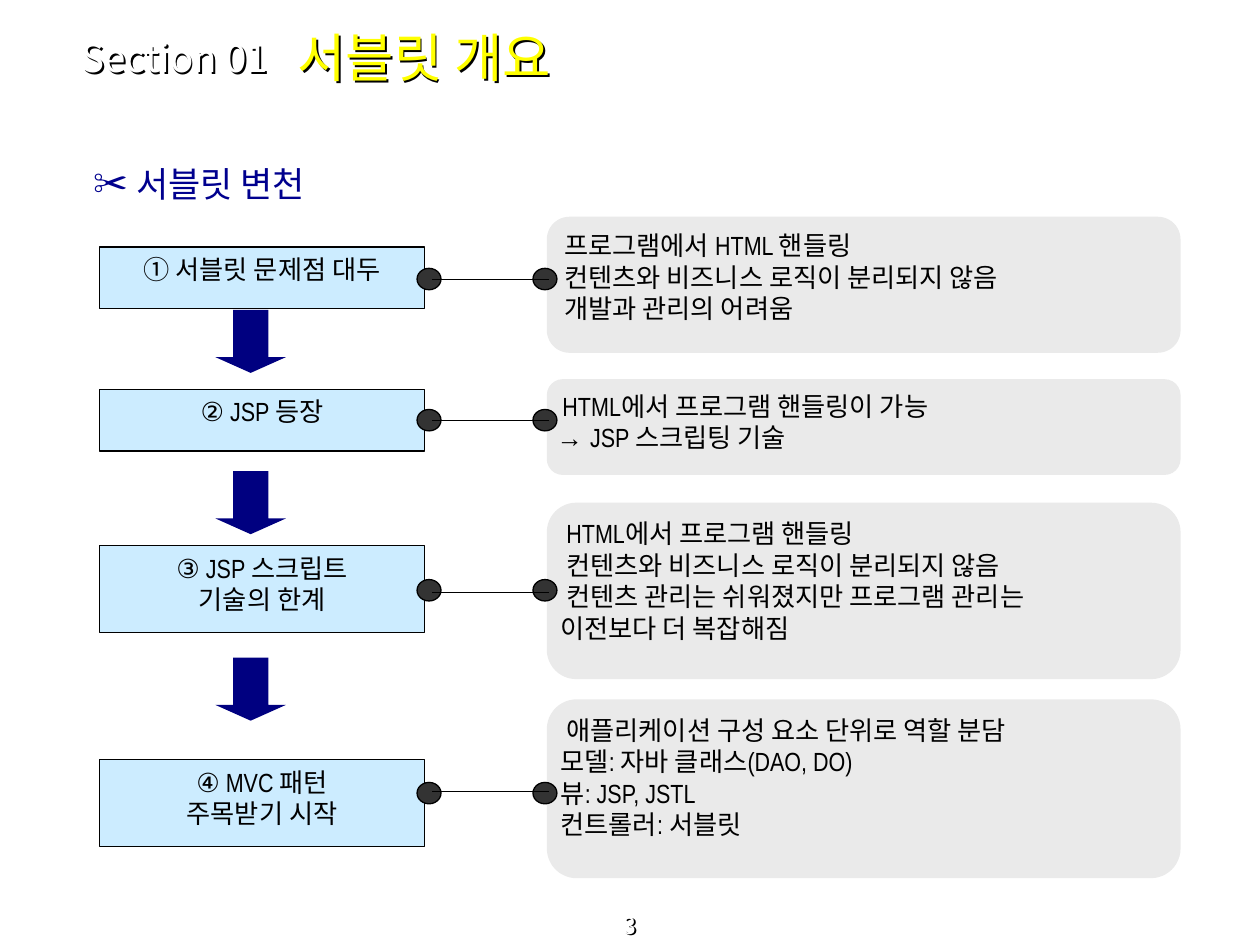
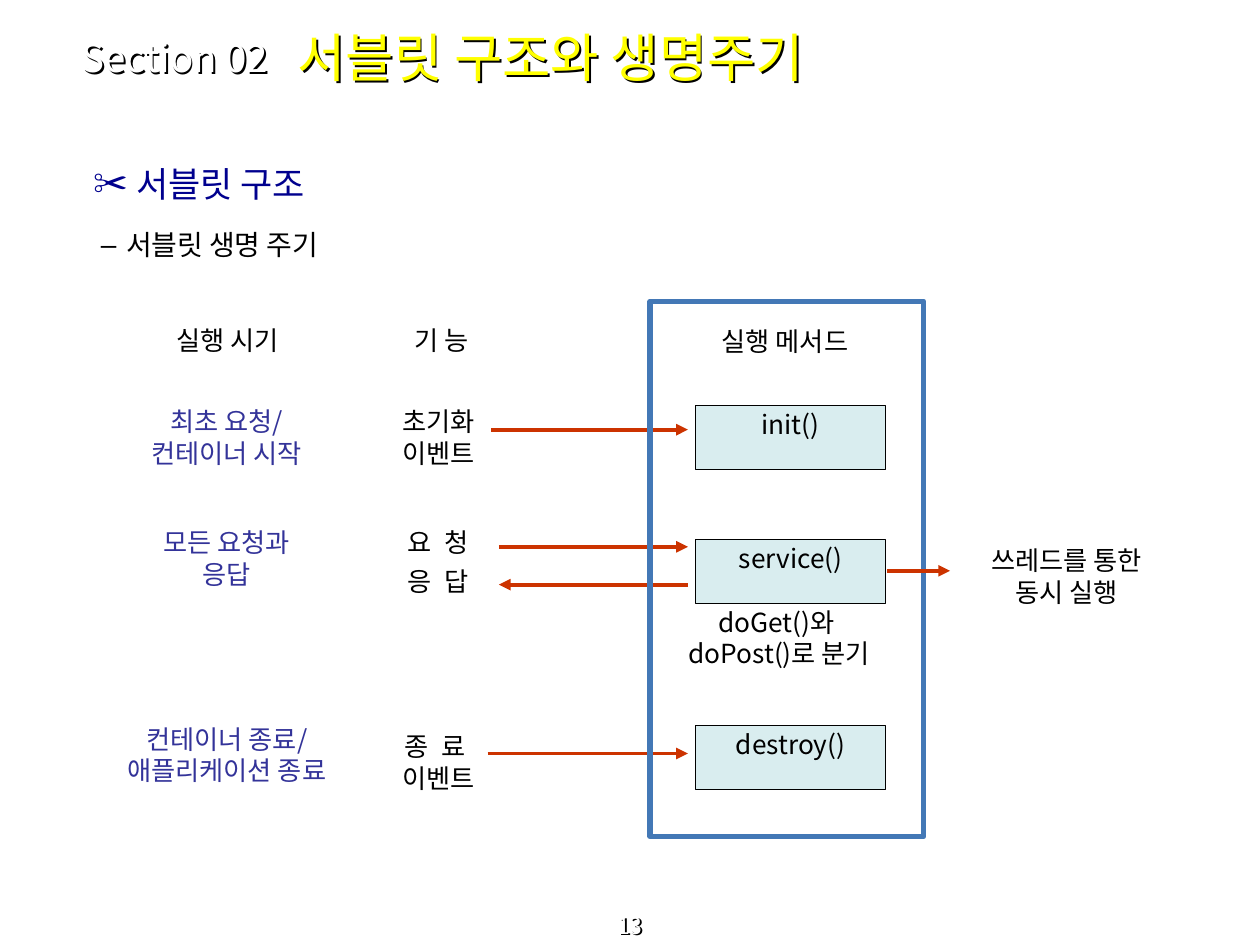
from lxml import etree
from pptx import Presentation
from pptx import util as u
from pptx.dml.color import RGBColor
from pptx.enum import shapes, text
from pptx.oxml import ns

NAVY = RGBColor(0x00, 0x00, 0x8E)
ARROW_NAVY = RGBColor(0x00, 0x00, 0x80)
YELLOW = RGBColor(0xFF, 0xFF, 0x00)
WHITE = RGBColor(0xFF, 0xFF, 0xFF)
BLACK = RGBColor(0x00, 0x00, 0x00)
SKY = RGBColor(0xCC, 0xEC, 0xFF)
PALE_GREY = RGBColor(0xEA, 0xEA, 0xEA)
DARK_GREY = RGBColor(0x33, 0x33, 0x33)
INDIGO = RGBColor(0x33, 0x33, 0x99)
RED = RGBColor(0xCC, 0x33, 0x00)
FRAME_BLUE = RGBColor(0x43, 0x78, 0xB6)
PALE_TEAL = RGBColor(0xD9, 0xED, 0xEF)

SANS = "Noto Sans CJK KR"
NARROW = "Arial Narrow"
LEFT, CENTER, JUSTIFY = (
    text.PP_ALIGN.LEFT, text.PP_ALIGN.CENTER, text.PP_ALIGN.JUSTIFY)
TOP, MIDDLE, BOTTOM = (
    text.MSO_ANCHOR.TOP, text.MSO_ANCHOR.MIDDLE, text.MSO_ANCHOR.BOTTOM)
SHAPE = shapes.MSO_SHAPE
LINE_FACTOR = 1.2
WIDE_GAP = (" ", SANS, 4)


def inches(*lengths):
    return [u.Inches(length) for length in lengths]


def child(parent, tag, **attributes):
    return etree.SubElement(parent, ns.qn(tag), attributes)


def add_run(paragraph, words, size, color, font=SANS, spacing=0):
    run = paragraph.add_run()
    run.text = words
    run.font.size = u.Pt(size)
    run.font.bold = False
    run.font.color.rgb = color
    properties = run.font._element
    if spacing:
        properties.set("spc", str(spacing * 100))
    child(properties, "a:latin", typeface=font)
    child(properties, "a:ea", typeface=SANS)


def set_frame(frame, insets, anchor):
    frame.word_wrap = True
    frame.auto_size = text.MSO_AUTO_SIZE.NONE
    frame.vertical_anchor = anchor
    (frame.margin_left, frame.margin_top,
     frame.margin_right, frame.margin_bottom) = inches(*insets)


def write(frame, lines, size=15, color=BLACK, font=SANS, align=CENTER,
          insets=(0, 0.01, 0, 0), anchor=TOP):
    set_frame(frame, insets, anchor)
    for index, line in enumerate(lines):
        paragraph = frame.paragraphs[0] if index == 0 else frame.add_paragraph()
        paragraph.alignment = align
        paragraph.line_spacing = u.Pt(size * LINE_FACTOR)
        pieces = [(line, font)] if isinstance(line, str) else line
        for words, *style in pieces:
            add_run(paragraph, words, size, color, *style)


def add_label(slide, box, lines, **style):
    label = slide.shapes.add_textbox(*inches(*box))
    write(label.text_frame, lines, **style)
    return label


def cast_text_shadow(label):
    label.fill.background()
    effects = child(label._element.spPr, "a:effectLst")
    shadow = child(effects, "a:outerShdw", dist="17961", dir="2700000",
                   algn="ctr", rotWithShape="0")
    child(shadow, "a:srgbClr", val=str(BLACK))


def add_block(slide, kind, box, fill=None, line=None, width=0.75):
    block = slide.shapes.add_shape(kind, *inches(*box))
    block.shadow.inherit = False
    if fill is None:
        block.fill.background()
    else:
        block.fill.solid()
        block.fill.fore_color.rgb = fill
    if line is None:
        block.line.fill.background()
    else:
        block.line.color.rgb = line
        block.line.width = u.Pt(width)
    return block


def add_line(slide, start, end, y, color, width, arrow=False):
    link = slide.shapes.add_connector(
        shapes.MSO_CONNECTOR.STRAIGHT, *inches(start, y, end, y))
    link.line.color.rgb = color
    link.line.width = u.Pt(width)
    if arrow:
        child(link.line._get_or_add_ln(), "a:tailEnd", type="triangle")
    child(link._element.spPr, "a:effectLst")


def place(placeholder, box):
    (placeholder.left, placeholder.top,
     placeholder.width, placeholder.height) = inches(*box)
    return placeholder.text_frame


def add_bullet(paragraph, words, mark, margin, indent, size, color, before=0):
    properties = paragraph._p.get_or_add_pPr()
    properties.set("marL", str(u.Inches(margin)))
    properties.set("indent", str(u.Inches(indent)))
    paint = child(properties, "a:buClr")
    child(paint, "a:srgbClr", val=str(color))
    child(properties, "a:buFont", typeface="Arial")
    child(properties, "a:buChar", char=mark)
    paragraph.alignment = LEFT
    paragraph.space_before = u.Pt(before)
    paragraph.line_spacing = u.Pt(size * LINE_FACTOR * 1.5)
    add_run(paragraph, words, size, color)


def add_section_slide(deck, section, title, topic, page, detail=None):
    slide = deck.slides.add_slide(deck.slide_layouts[1])
    heading, body = slide.placeholders
    write(place(heading, (2.16, 0.11, 6.49, 0.68)), [title], size=30,
          color=YELLOW, align=LEFT, insets=(0.11, 0.05, 0.1, 0.05),
          anchor=MIDDLE)
    outline = place(body, (0.51, 1.07, 9, 4.95))
    set_frame(outline, (0.1, 0.05, 0.1, 0.05), TOP)
    add_bullet(outline.paragraphs[0], topic, "✂", 0.47, -0.34, 20, NAVY)
    if detail:
        point = outline.add_paragraph()
        point.level = 1
        add_bullet(point, detail, "–", 0.39, -0.2, 16, BLACK, before=4)
    white = dict(color=WHITE, insets=(0.1, 0.05, 0.1, 0.05))
    section_label = add_label(slide, (0.55, 0.27, 1.93, 0.37), [section],
                              size=22, align=LEFT, anchor=MIDDLE, **white)
    page_label = add_label(slide, (0, 7.28, 10, 0.22), [page], size=13,
                           anchor=BOTTOM, **white)
    for label in (heading, section_label, page_label):
        cast_text_shadow(label)
    return slide


def add_stage(slide, stage_top, stage_height, stage, note_top, note_height,
              notes, dot_top, link_y):
    stage_box = add_block(slide, SHAPE.RECTANGLE,
                          (0.79, stage_top, 2.58, stage_height), SKY, BLACK)
    write(stage_box.text_frame, stage, font=NARROW,
          insets=(0, 0.05, 0, 0.05))
    note_box = add_block(slide, SHAPE.ROUNDED_RECTANGLE,
                         (4.34, note_top, 5.03, note_height), PALE_GREY)
    write(note_box.text_frame, notes, font=NARROW, align=JUSTIFY,
          insets=(0.04, 0.05, 0, 0.05))
    for dot_left in (3.31, 4.23):
        add_block(slide, SHAPE.OVAL, (dot_left, dot_top, 0.19, 0.17),
                  DARK_GREY, BLACK)
    add_line(slide, 3.43, 4.36, link_y, BLACK, 0.75)


def build_history(deck):
    slide = add_section_slide(deck, "Section 01", " 서블릿 개요",
                              "서블릿 변천", "3")
    stages = [
        (1.96, 0.49, ["① 서블릿 문제점 대두"], 1.72, 1.08,
         [" 프로그램에서 HTML 핸들링",
          " 컨텐츠와 비즈니스 로직이 분리되지 않음",
          " 개발과 관리의 어려움"], 2.13, 2.22),
        (3.09, 0.49, ["② JSP 등장"], 3.01, 0.76,
         [" HTML에서 프로그램 핸들링이 가능",
          [("→ ", "Arial"), ("JSP 스크립팅 기술", NARROW)]], 3.25, 3.34),
        (4.33, 0.69, ["③ JSP 스크립트", "기술의 한계"], 3.99, 1.4,
         [" HTML에서 프로그램 핸들링",
          " 컨텐츠와 비즈니스 로직이 분리되지 않음",
          " 컨텐츠 관리는 쉬워졌지만 프로그램 관리는",
          "이전보다 더 복잡해짐"], 4.6, 4.7),
        (6.03, 0.69, ["④ MVC 패턴", "주목받기 시작"], 5.55, 1.42,
         [" 애플리케이션 구성 요소 단위로 역할 분담",
          "모델: 자바 클래스(DAO, DO)",
          "뷰: JSP, JSTL",
          "컨트롤러: 서블릿"], 6.21, 6.28),
    ]
    for stage in stages:
        add_stage(slide, *stage)
    for arrow_top in (2.46, 3.74, 5.22):
        arrow = add_block(slide, SHAPE.DOWN_ARROW,
                          (1.71, arrow_top, 0.56, 0.5), ARROW_NAVY)
        arrow.adjustments[0] = 0.5
        arrow.adjustments[1] = 0.25


def add_method(slide, top, name):
    method = add_block(slide, SHAPE.RECTANGLE, (5.52, top, 1.51, 0.51),
                       PALE_TEAL, BLACK, 0.5)
    write(method.text_frame, [name], insets=(0, 0.02, 0, 0.02))


def build_lifecycle(deck):
    slide = add_section_slide(deck, "Section 02", " 서블릿 구조와 생명주기",
                              "서블릿 구조", "13", "서블릿 생명 주기")
    for top, height, lines in [
        (3.21, 0.81, ["초기화", "이벤트"]),
        (4.17, 0.41, [[("요",), WIDE_GAP, ("청",)]]),
        (4.48, 0.41, [[("응",), WIDE_GAP, ("답",)]]),
        (5.79, 0.67, [[("종",), WIDE_GAP, ("료 ",)], "이벤트"]),
    ]:
        add_label(slide, (2.63, top, 1.7, height), lines)
    for top, lines in [
        (3.21, ["최초 요청/", "컨테이너 시작"]),
        (4.17, ["모든 요청과", "응답"]),
        (5.73, ["컨테이너 종료/", "애플리케이션 종료"]),
    ]:
        add_label(slide, (0.63, top, 2.34, 0.86), lines, color=INDIGO)
    for left, top, width, header in [
        (0.96, 2.56, 1.69, "실행 시기"),
        (2.69, 2.56, 1.63, "기 능"),
        (5.42, 2.57, 1.62, "실행 메서드"),
    ]:
        add_label(slide, (left, top, width, 0.45), [header])
    for start, end, y in [
        (3.9, 5.46, 3.41),
        (3.96, 5.46, 4.34),
        (5.46, 3.96, 4.64),
        (3.87, 5.46, 5.98),
    ]:
        add_line(slide, start, end, y, RED, 2.25, arrow=True)
    add_block(slide, SHAPE.RECTANGLE, (5.16, 2.39, 2.17, 4.25),
              line=FRAME_BLUE, width=3)
    for top, name in [(3.22, "init()"), (4.28, "service()"),
                      (5.76, "destroy()")]:
        add_method(slide, top, name)
    add_label(slide, (5.24, 4.8, 1.89, 0.66), ["doGet()와 ", "doPost()로 분기"])
    add_line(slide, 7.04, 7.54, 4.53, RED, 2.25, arrow=True)
    add_label(slide, (7.63, 4.31, 1.67, 0.72), ["쓰레드를 통한", "동시 실행"])


def main():
    deck = Presentation()
    deck.slide_width, deck.slide_height = inches(10, 7.5)
    build_history(deck)
    build_lifecycle(deck)
    deck.save("out.pptx")


if __name__ == "__main__":
    main()
